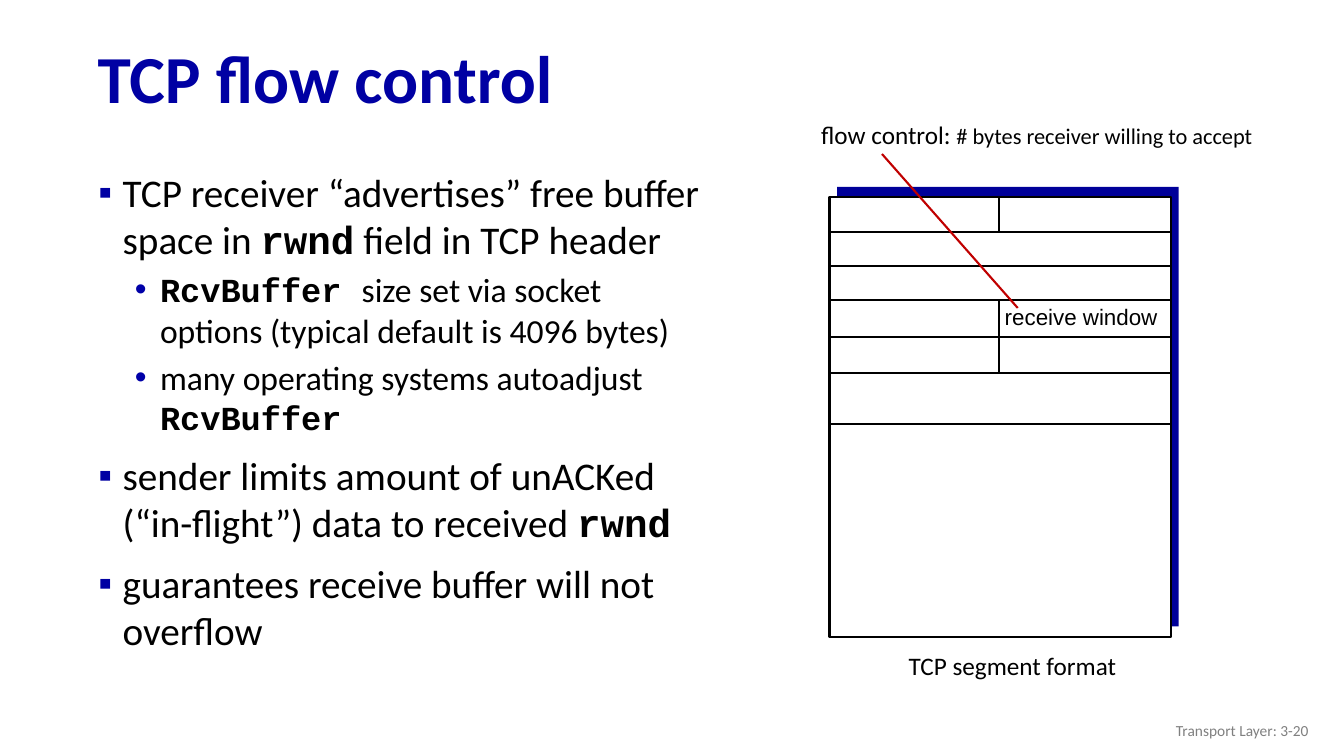
from dataclasses import dataclass
from itertools import accumulate

from lxml.etree import SubElement as Sub
from pptx import Presentation
from pptx.dml.color import RGBColor as RGB
from pptx.enum.shapes import MSO_CONNECTOR as Conn, MSO_SHAPE as Kind
from pptx.enum.text import MSO_ANCHOR as Anchor, MSO_AUTO_SIZE as Auto, PP_ALIGN as Align
from pptx.oxml.ns import qn
from pptx.util import Pt


@dataclass(frozen=True)
class Theme:
    ink: str = "000000"
    paper: str = "FFFFFF"
    title: str = "0000A3"
    dot: str = "0000A8"
    shade: str = "000099"
    mark: str = "C00000"
    grey: str = "808080"
    sans: str = "Calibri"
    mono: str = "Courier New"
    label: str = "Arial"
    head: int = 48
    main: int = 28
    sub: int = 24
    note: int = 18
    small: int = 16
    foot: int = 11
    line: float = 1.5


T = Theme()
LEVELS = (
    dict(size=T.main, left=28, hang=17.3, before=10, mark="▪", color=T.title),
    dict(size=T.sub, left=54.7, hang=18, before=5, mark="•", color=T.dot),
)
POINTS = (
    (0, ("TCP receiver “advertises” free buffer space in ", "*rwnd", " field in TCP header")),
    (1, ("*RcvBuffer ", "size set via socket options (typical default is 4096 bytes)")),
    (1, ("many operating systems autoadjust ", "*RcvBuffer")),
    (0, ("sender limits amount of unACKed (“in-flight”) data to received ", "*rwnd")),
    (0, ("guarantees receive buffer will not overflow",)),
)
ROWS = (24.5, 24.5, 24.5, 26, 26, 36.5)


def style(run, size, color=T.ink, face=T.sans, bold=False):
    font = run.font
    font.size, font.name, font.bold = Pt(size), face, bold
    font.color.rgb = RGB.from_string(color)


def place(shape, box):
    shape.left, shape.top, shape.width, shape.height = map(Pt, box)


def text(slide, box, parts, color=T.ink, face=T.sans, align=Align.LEFT,
         space=None, wrap=True, anchor=Anchor.TOP):
    frame = slide.shapes.add_textbox(*map(Pt, box)).text_frame
    frame.word_wrap, frame.vertical_anchor = wrap, anchor
    frame.auto_size = Auto.NONE
    para = frame.paragraphs[0]
    para.alignment, para.line_spacing = align, space
    for words, size in parts:
        run = para.add_run()
        run.text = words
        style(run, size, color, face)


def rule(slide, x1, y1, x2, y2, color=T.ink):
    line = slide.shapes.add_connector(Conn.STRAIGHT, *map(Pt, (x1, y1, x2, y2)))
    line.line.color.rgb = RGB.from_string(color)
    line.line.width = Pt(T.line)
    Sub(line._element.spPr, qn("a:effectLst"))


def block(slide, box, fill, edge=None):
    rect = slide.shapes.add_shape(Kind.RECTANGLE, *map(Pt, box))
    rect.shadow.inherit = False
    rect.fill.solid()
    rect.fill.fore_color.rgb = RGB.from_string(fill)
    if edge:
        rect.line.color.rgb = RGB.from_string(edge)
        rect.line.width = Pt(T.line)
    else:
        rect.line.fill.background()


def bullet(para, left, hang, mark, color):
    props = para._p.get_or_add_pPr()
    props.set("marL", str(Pt(left)))
    props.set("indent", str(-Pt(hang)))
    tint = Sub(props, qn("a:buClr"))
    Sub(tint, qn("a:srgbClr"), val=color)
    Sub(props, qn("a:buFont"), typeface=T.label)
    Sub(props, qn("a:buChar"), char=mark)


def title(slide, box):
    head = slide.shapes.title
    place(head, box)
    frame = head.text_frame
    frame.text = "TCP flow control"
    frame.vertical_anchor = Anchor.MIDDLE
    para = frame.paragraphs[0]
    para.alignment, para.line_spacing = Align.LEFT, 0.9
    style(para.runs[0], T.head, T.title, bold=True)


def body(slide, box):
    frame = slide.shapes.add_textbox(*map(Pt, box)).text_frame
    frame.word_wrap = True
    for i, (level, parts) in enumerate(POINTS):
        para = frame.paragraphs[0] if i == 0 else frame.add_paragraph()
        look = LEVELS[level]
        para.level = level
        para.space_before = Pt(look["before"])
        bullet(para, look["left"], look["hang"], look["mark"], look["color"])
        for part in parts:
            code = part.startswith("*")
            run = para.add_run()
            run.text = part.lstrip("*")
            style(run, look["size"], face=T.mono if code else T.sans, bold=code)


def segment(slide, box):
    x, y, w, h = box
    mid, right = x + 121, x + w
    text(slide, (x - 13, y - 57, 343, 27),
         (("flow control: ", T.note), ("# bytes receiver willing to accept", T.small)), space=0.9)
    block(slide, (x + 5.5, y - 7.5, w, h), T.shade)
    block(slide, box, T.paper, T.ink)
    edges = [y, *accumulate(ROWS, initial=y)][1:]
    for edge in edges[1:]:
        rule(slide, x, edge, right, edge)
    for first, last in ((0, 1), (3, 5)):
        rule(slide, mid, edges[first], mid, edges[last])
    text(slide, (mid - 3.5, edges[3] - 1.5, 124.5, 27), (("receive window", T.small),),
         face=T.label, align=Align.CENTER, wrap=False)
    rule(slide, mid + 13.5, edges[3] + 5.5, x + 37.5, y - 31, T.mark)
    text(slide, (x + 49.5, y + h + 8.5, 182, 27), (("TCP segment format", T.note),), space=0.9)


def footer(slide, box):
    text(slide, box, (("Transport Layer: 3-20", T.foot),), T.grey,
         align=Align.RIGHT, anchor=Anchor.MIDDLE)


def main():
    deck = Presentation()
    deck.slide_width, deck.slide_height = Pt(960), Pt(540)
    slide = deck.slides.add_slide(deck.slide_layouts[5])
    title(slide, (62.5, 23, 897, 70.5))
    body(slide, (52.5, 116.5, 458.5, 386.5))
    segment(slide, (592.5, 141, 244, 314))
    footer(slide, (726, 507.5, 216, 29))
    deck.save("out.pptx")


if __name__ == "__main__":
    main()
